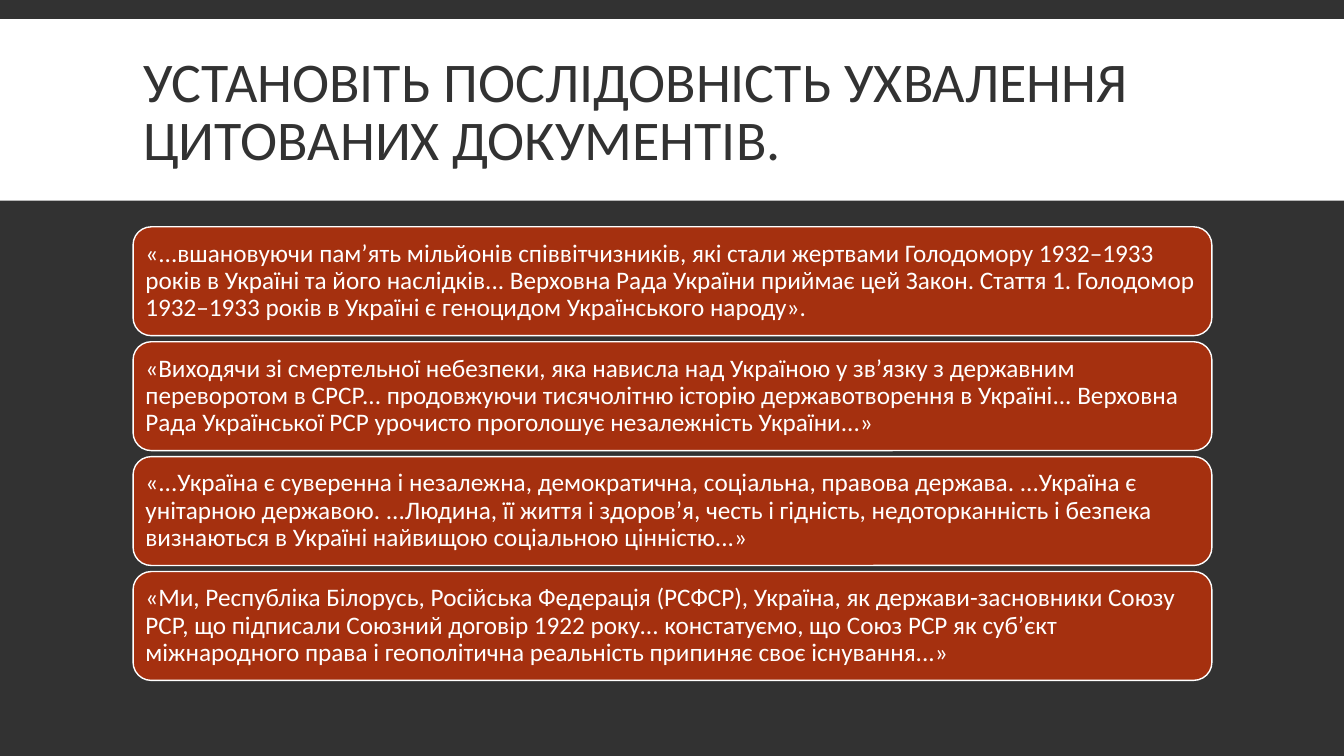
from pptx import Presentation, util as u
from pptx.dml.color import RGBColor
from pptx.enum import shapes, text

COLOURS = {"dark": "323232", "light": "FFFFFF", "card": "A5300F"}
FONT = "Calibri"
LEFT, WIDTH = 1.32, 10.7
CARDS_TOP, CARD_HEIGHT, CARD_STEP = 2.25, 1.08, 1.14
TITLE = "УСТАНОВІТЬ ПОСЛІДОВНІСТЬ УХВАЛЕННЯ ЦИТОВАНИХ ДОКУМЕНТІВ."
QUOTES = [
    "«...вшановуючи пам’ять мільйонів співвітчизників, які стали жертвами "
    "Голодомору 1932–1933 років в Україні та його наслідків... Верховна Рада "
    "України приймає цей Закон. Стаття 1. Голодомор 1932–1933 років в Україні "
    "є геноцидом Українського народу».",
    "«Виходячи зі смертельної небезпеки, яка нависла над Україною у зв’язку з "
    "державним переворотом в СРСР... продовжуючи тисячолітню історію "
    "державотворення в Україні... Верховна Рада Української РСР урочисто "
    "проголошує незалежність України...»",
    "«...Україна є суверенна і незалежна, демократична, соціальна, правова "
    "держава. ...Україна є унітарною державою. ...Людина, її життя і здоров’я, "
    "честь і гідність, недоторканність і безпека визнаються в Україні найвищою "
    "соціальною цінністю...»",
    "«Ми, Республіка Білорусь, Російська Федерація (РСФСР), Україна, як "
    "держави-засновники Союзу РСР, що підписали Союзний договір 1922 року... "
    "констатуємо, що Союз РСР як суб’єкт міжнародного права і геополітична "
    "реальність припиняє своє існування...»",
]


def colour(name):
    """Return the named palette colour."""
    return RGBColor.from_string(COLOURS[name])


def place(shape, left, top, width, height):
    """Set a shape's position and size in inches."""
    shape.left, shape.top = u.Inches(left), u.Inches(top)
    shape.width, shape.height = u.Inches(width), u.Inches(height)


def write(shape, words, size, colour_name, spacing):
    """Fill a shape with one left-aligned, vertically centred paragraph."""
    frame = shape.text_frame
    frame.text = words
    frame.word_wrap = True
    frame.auto_size = text.MSO_AUTO_SIZE.NONE
    frame.vertical_anchor = text.MSO_ANCHOR.MIDDLE
    paragraph = frame.paragraphs[0]
    paragraph.alignment = text.PP_ALIGN.LEFT
    paragraph.line_spacing = spacing
    paragraph.space_before = u.Pt(0)
    font = paragraph.runs[0].font
    font.name, font.size = FONT, u.Pt(size)
    font.color.rgb = colour(colour_name)


def add_block(slide, kind, box, fill):
    """Add a filled shape without outline or shadow."""
    shape = slide.shapes.add_shape(kind, *map(u.Inches, box))
    shape.shadow.inherit = False
    shape.fill.solid()
    shape.fill.fore_color.rgb = colour(fill)
    shape.line.fill.background()
    return shape


def add_heading(slide, slide_width):
    """Add the title on its full-width band."""
    title = slide.shapes.title
    place(title, LEFT, 0.31, WIDTH, 1.65)
    write(title, TITLE, 40, "dark", 0.85)
    band = add_block(slide, shapes.MSO_SHAPE.RECTANGLE,
                     (0, 0.19, slide_width, 1.8), "light")
    title.element.addprevious(band.element)


def add_card(slide, row, quote):
    """Add one rounded quotation card in the given row."""
    box = (LEFT, CARDS_TOP + row * CARD_STEP, WIDTH, CARD_HEIGHT)
    card = add_block(slide, shapes.MSO_SHAPE.ROUNDED_RECTANGLE, box, "card")
    card.line.color.rgb = colour("light")
    card.line.width = u.Pt(1)
    write(card, quote, 18, "light", 0.9)
    frame = card.text_frame
    frame.margin_left = frame.margin_right = u.Inches(0.07)
    frame.margin_top = frame.margin_bottom = u.Inches(0.07)


def main():
    """Build and save the slide."""
    presentation = Presentation()
    presentation.slide_width = u.Inches(13.33)
    presentation.slide_height = u.Inches(7.5)
    slide = presentation.slides.add_slide(presentation.slide_layouts[5])
    slide.background.fill.solid()
    slide.background.fill.fore_color.rgb = colour("dark")
    add_heading(slide, presentation.slide_width.inches)
    for row, quote in enumerate(QUOTES):
        add_card(slide, row, quote)
    presentation.save("out.pptx")


if __name__ == "__main__":
    main()
